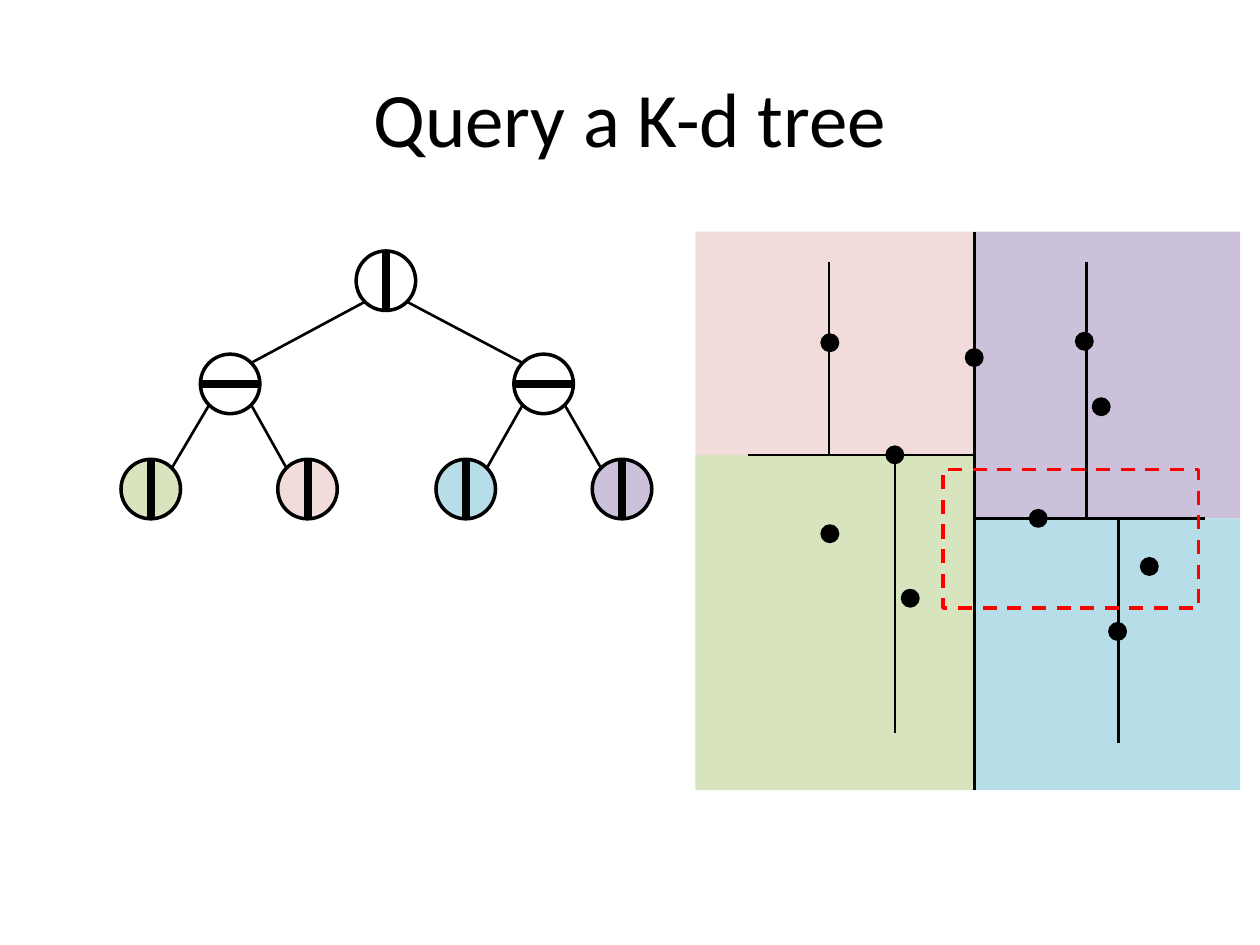
import math
from dataclasses import dataclass
from typing import Optional

import pptx
import pptx.dml.color
import pptx.enum.dml
import pptx.enum.shapes
import pptx.enum.text
import pptx.oxml.ns
import pptx.util
from lxml import etree

Cm = pptx.util.Cm
Pt = pptx.util.Pt
RGBColor = pptx.dml.color.RGBColor
MSO_SHAPE = pptx.enum.shapes.MSO_SHAPE

BLACK = RGBColor(0x00, 0x00, 0x00)
RED = RGBColor(0xFF, 0x00, 0x00)
GREEN = RGBColor(0xD7, 0xE4, 0xBD)
PINK = RGBColor(0xF2, 0xDC, 0xDB)
PURPLE = RGBColor(0xCC, 0xC1, 0xDA)
BLUE = RGBColor(0xB7, 0xDE, 0xE8)

# All lengths below are in centimetres
LEFT, MIDDLE, RIGHT = 14.02, 19.64, 25.0
TOP, BOTTOM = 4.67, 15.93
LEFT_SPLIT, RIGHT_SPLIT = 9.17, 10.45
POINT_DIAMETER = 0.31
NODE_RADIUS = 0.6


@dataclass(frozen=True)
class Region:
    left: float
    top: float
    right: float
    bottom: float
    color: RGBColor


@dataclass(frozen=True)
class Node:
    x: float
    y: float
    vertical: bool
    color: Optional[RGBColor] = None


REGIONS = (
    Region(LEFT, LEFT_SPLIT, MIDDLE, BOTTOM, GREEN),
    Region(LEFT, TOP, MIDDLE, LEFT_SPLIT, PINK),
    Region(MIDDLE, TOP, RIGHT, RIGHT_SPLIT, PURPLE),
    Region(MIDDLE, RIGHT_SPLIT, RIGHT, BOTTOM, BLUE),
)

POINTS = (
    (19.64, 7.21), (16.73, 6.91), (21.86, 6.88), (22.2, 8.2),
    (18.04, 9.17), (16.73, 10.76), (20.93, 10.45), (18.35, 12.06),
    (23.17, 11.42), (22.53, 12.73),
)

SPLIT_LINES = (
    (MIDDLE, TOP, MIDDLE, BOTTOM),
    (18.04, LEFT_SPLIT, 18.04, 14.78),
    (16.71, 5.28, 16.71, LEFT_SPLIT),
    (22.55, RIGHT_SPLIT, 22.55, 14.98),
    (21.9, 5.28, 21.9, RIGHT_SPLIT),
    (15.07, LEFT_SPLIT, MIDDLE, LEFT_SPLIT),
    (MIDDLE, RIGHT_SPLIT, 24.3, RIGHT_SPLIT),
)

# Level by level: the children of node i are nodes 2i + 1 and 2i + 2
NODES = (
    Node(7.78, 5.66, True),
    Node(4.64, 7.74, False),
    Node(10.96, 7.74, False),
    Node(3.04, 9.86, True, GREEN),
    Node(6.2, 9.86, True, PINK),
    Node(9.39, 9.86, True, BLUE),
    Node(12.54, 9.86, True, PURPLE),
)


def add_figure(shapes, kind, left: float, top: float, width: float, height: float,
               fill: Optional[RGBColor] = None, line: Optional[RGBColor] = None):
    shape = shapes.add_shape(kind, Cm(left), Cm(top), Cm(width), Cm(height))
    shape.shadow.inherit = False
    if fill is None:
        shape.fill.background()
    else:
        shape.fill.solid()
        shape.fill.fore_color.rgb = fill
    if line is None:
        shape.line.fill.background()
    else:
        shape.line.color.rgb = line
        shape.line.width = Pt(2)
    return shape


def add_line(shapes, x1: float, y1: float, x2: float, y2: float, width: float = 1.5) -> None:
    connector = shapes.add_connector(
        pptx.enum.shapes.MSO_CONNECTOR.STRAIGHT, Cm(x1), Cm(y1), Cm(x2), Cm(y2))
    connector.line.color.rgb = BLACK
    connector.line.width = Pt(width)
    properties = connector.element.spPr
    etree.SubElement(properties, pptx.oxml.ns.qn("a:effectLst"))


def add_node(slide, node: Node) -> None:
    shapes = slide.shapes.add_group_shape().shapes
    diameter = 2 * NODE_RADIUS
    add_figure(shapes, MSO_SHAPE.OVAL, node.x - NODE_RADIUS, node.y - NODE_RADIUS,
               diameter, diameter, node.color, BLACK)
    dx, dy = (0, NODE_RADIUS) if node.vertical else (NODE_RADIUS, 0)
    add_line(shapes, node.x - dx, node.y - dy, node.x + dx, node.y + dy, 4.5)


def add_edge(slide, parent: Node, child: Node) -> None:
    """Join the two circles at their diagonal points."""
    offset = NODE_RADIUS * math.sqrt(0.5)
    side = math.copysign(offset, child.x - parent.x)
    add_line(slide.shapes, parent.x + side, parent.y + offset,
             child.x - side, child.y - offset)


def add_title(slide, text: str) -> None:
    box = slide.shapes.add_textbox(Cm(1.27), Cm(0.76), Cm(22.86), Cm(3.18))
    frame = box.text_frame
    frame.word_wrap = True
    frame.vertical_anchor = pptx.enum.text.MSO_ANCHOR.MIDDLE
    paragraph = frame.paragraphs[0]
    paragraph.text = text
    paragraph.alignment = pptx.enum.text.PP_ALIGN.CENTER
    paragraph.font.name = "Calibri"
    paragraph.font.size = Pt(44)
    paragraph.font.color.rgb = BLACK


def main() -> None:
    presentation = pptx.Presentation()
    presentation.slide_width, presentation.slide_height = Cm(25.4), Cm(19.05)
    slide = presentation.slides.add_slide(presentation.slide_layouts[6])

    # Plane: coloured regions
    for region in REGIONS:
        add_figure(slide.shapes, MSO_SHAPE.RECTANGLE, region.left, region.top,
                   region.right - region.left, region.bottom - region.top, region.color)

    add_title(slide, "Query a K-d tree")

    # Plane: points and splitting lines
    for x, y in POINTS:
        add_figure(slide.shapes, MSO_SHAPE.OVAL, x - POINT_DIAMETER / 2,
                   y - POINT_DIAMETER / 2, POINT_DIAMETER, POINT_DIAMETER, BLACK, BLACK)
    for ends in SPLIT_LINES:
        add_line(slide.shapes, *ends)

    # Tree: nodes and edges
    for node in NODES:
        add_node(slide, node)
    for index, child in enumerate(NODES[1:], start=1):
        add_edge(slide, NODES[(index - 1) // 2], child)

    # Query window
    window = add_figure(slide.shapes, MSO_SHAPE.RECTANGLE, 19.01, 9.47, 5.15, 2.79, line=RED)
    window.line.dash_style = pptx.enum.dml.MSO_LINE.DASH

    presentation.save("out.pptx")


if __name__ == "__main__":
    main()
